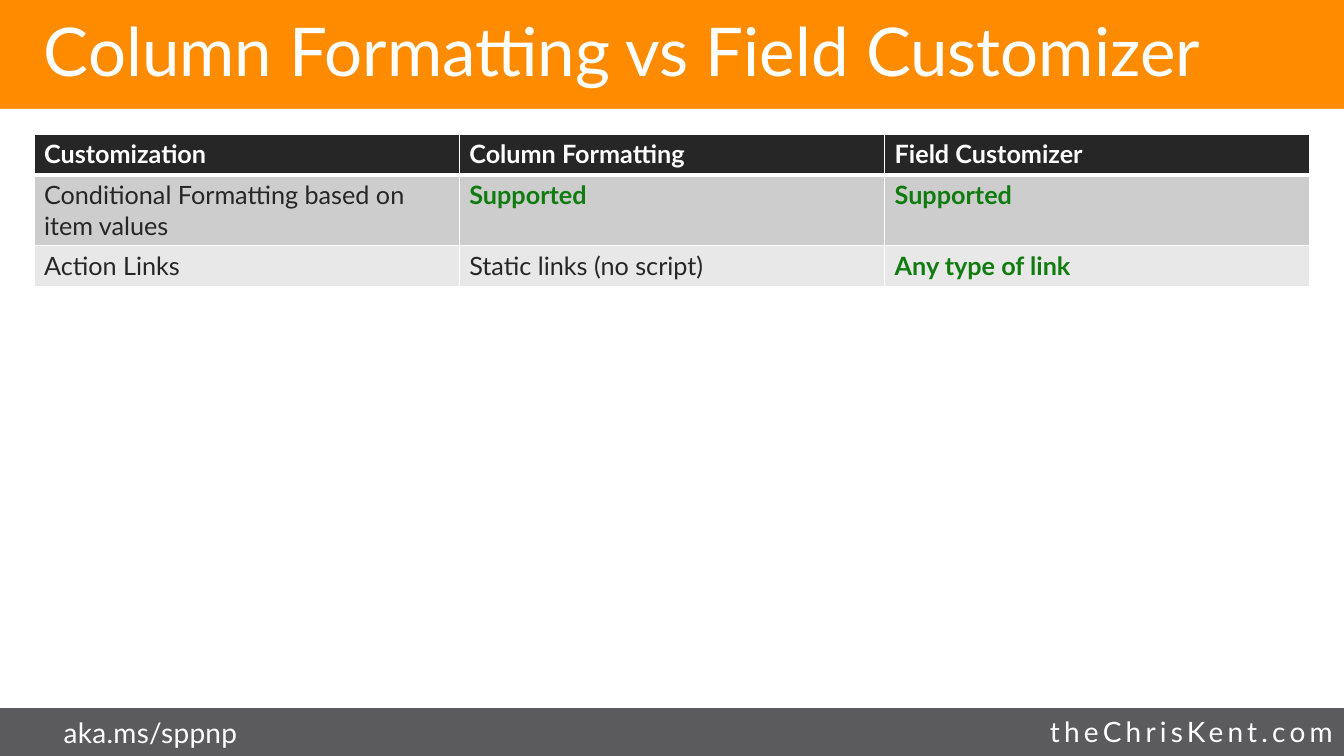
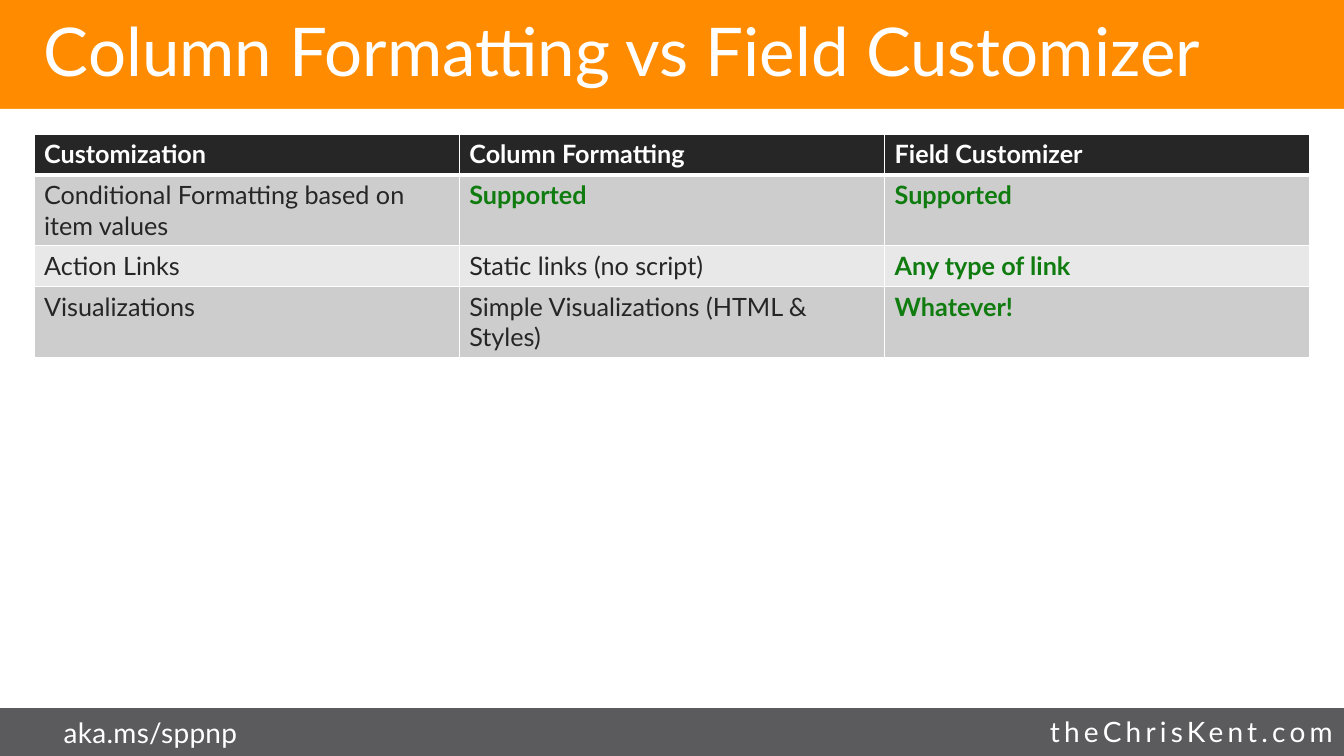
"""Build two slides comparing column formatting with field customizers."""
import dataclasses

import lxml.etree
import pptx
import pptx.dml.color
import pptx.enum.shapes
import pptx.enum.text
import pptx.oxml.ns
import pptx.util

TITLE = "Column Formatting vs Field Customizer"
LINK = "aka.ms/sppnp"
SITE = "theChrisKent.com"
HEADER = ("Customization", "Column Formatting", "Field Customizer")
COMPARISON = [
    ("Conditional Formatting based on item values", "Supported", "Supported"),
    ("Action Links", "Static links (no script)", "Any type of link"),
    ("Visualizations", "Simple Visualizations (HTML & Styles)", "Whatever!"),
]
STRENGTHS = {"Supported", "Any type of link", "Whatever!"}
ROWS_SHOWN = (2, 3)

SLIDE_W, SLIDE_H = 1344, 756
TITLE_H = 109
FOOTER_TOP = 708
MARGIN = 34
CONTENT_W = SLIDE_W - 2 * MARGIN
TABLE_TOP = 134
ROW_H = 41
EMU_PER_PX = 914400 / 100.8


@dataclasses.dataclass(frozen=True)
class Theme:
    font: str = "Lato"
    accent: str = "FF8C00"
    footer: str = "5B5B5E"
    white: str = "FFFFFF"
    ink: str = "262626"
    strength: str = "107C10"
    bands: tuple = ("CDCDCD", "E8E8E8")
    title_size: int = 48
    footer_size: int = 20
    table_size: int = 18
    rule: int = 1
    header_rule: int = 3


THEME = Theme()
ALIGN = pptx.enum.text.PP_ALIGN
ANCHOR = pptx.enum.text.MSO_ANCHOR


def px(length):
    return pptx.util.Emu(round(length * EMU_PER_PX))


def paint(fill, colour):
    fill.solid()
    fill.fore_color.rgb = pptx.dml.color.RGBColor.from_string(colour)


def style_text(frame, size, colour, bold=False):
    font = frame.paragraphs[0].runs[0].font
    font.name = THEME.font
    font.size = pptx.util.Pt(size)
    font.bold = bold
    font.color.rgb = pptx.dml.color.RGBColor.from_string(colour)


def add_band(slide, top, height, colour):
    band = slide.shapes.add_shape(
        pptx.enum.shapes.MSO_SHAPE.RECTANGLE, 0, px(top), px(SLIDE_W), px(height))
    band.shadow.inherit = False
    paint(band.fill, colour)
    band.line.fill.background()


def add_label(slide, text, box, size, align, anchor, spacing=0):
    frame = slide.shapes.add_textbox(*map(px, box)).text_frame
    frame.word_wrap = True
    frame.vertical_anchor = anchor
    frame.text = text
    frame.paragraphs[0].alignment = align
    style_text(frame, size, THEME.white)
    if spacing:
        properties = frame.paragraphs[0].runs[0].font._element
        properties.set("spc", str(round(spacing * 100)))
    return frame


def set_borders(cell, widths):
    properties = cell._tc.get_or_add_tcPr()
    for side, width in widths.items():
        line = lxml.etree.SubElement(
            properties, pptx.oxml.ns.qn(f"a:ln{side}"), w=str(pptx.util.Pt(width)))
        solid = lxml.etree.SubElement(line, pptx.oxml.ns.qn("a:solidFill"))
        lxml.etree.SubElement(solid, pptx.oxml.ns.qn("a:srgbClr"), val=THEME.white)


def add_comparison(slide, rows):
    table = slide.shapes.add_table(
        len(rows) + 1, len(HEADER), px(MARGIN), px(TABLE_TOP),
        px(CONTENT_W), px(ROW_H * (len(rows) + 1))).table
    for row_index, values in enumerate([HEADER, *rows]):
        table.rows[row_index].height = px(ROW_H)
        is_header = row_index == 0
        background = THEME.ink if is_header else THEME.bands[(row_index - 1) % 2]
        borders = dict.fromkeys("LRTB", THEME.rule)
        if is_header:
            borders["B"] = THEME.header_rule
        elif row_index == 1:
            borders["T"] = THEME.header_rule
        for column_index, value in enumerate(values):
            cell = table.cell(row_index, column_index)
            set_borders(cell, borders)
            paint(cell.fill, background)
            cell.text_frame.text = value
            is_strength = value in STRENGTHS
            colour = (THEME.white if is_header
                      else THEME.strength if is_strength else THEME.ink)
            style_text(cell.text_frame, THEME.table_size, colour,
                       is_header or is_strength)


def add_frame(slide):
    add_band(slide, FOOTER_TOP, SLIDE_H - FOOTER_TOP, THEME.footer)
    add_band(slide, TITLE_H, FOOTER_TOP - TITLE_H, THEME.white)
    add_label(slide, SITE, (612, 709, 731, 44), THEME.footer_size,
              ALIGN.RIGHT, ANCHOR.BOTTOM, 3)
    add_label(slide, LINK, (19, 711, 263, 44), THEME.footer_size,
              ALIGN.CENTER, ANCHOR.TOP, 0.2)
    title = add_label(slide, TITLE, (MARGIN, 0, CONTENT_W, TITLE_H),
                      THEME.title_size, ALIGN.LEFT, ANCHOR.MIDDLE)
    title.paragraphs[0].line_spacing = 0.9


def main():
    deck = pptx.Presentation()
    deck.slide_width, deck.slide_height = px(SLIDE_W), px(SLIDE_H)
    paint(deck.slide_master.background.fill, THEME.accent)
    for count in ROWS_SHOWN:
        slide = deck.slides.add_slide(deck.slide_layouts[6])
        add_frame(slide)
        add_comparison(slide, COMPARISON[:count])
    deck.save("out.pptx")


if __name__ == "__main__":
    main()
